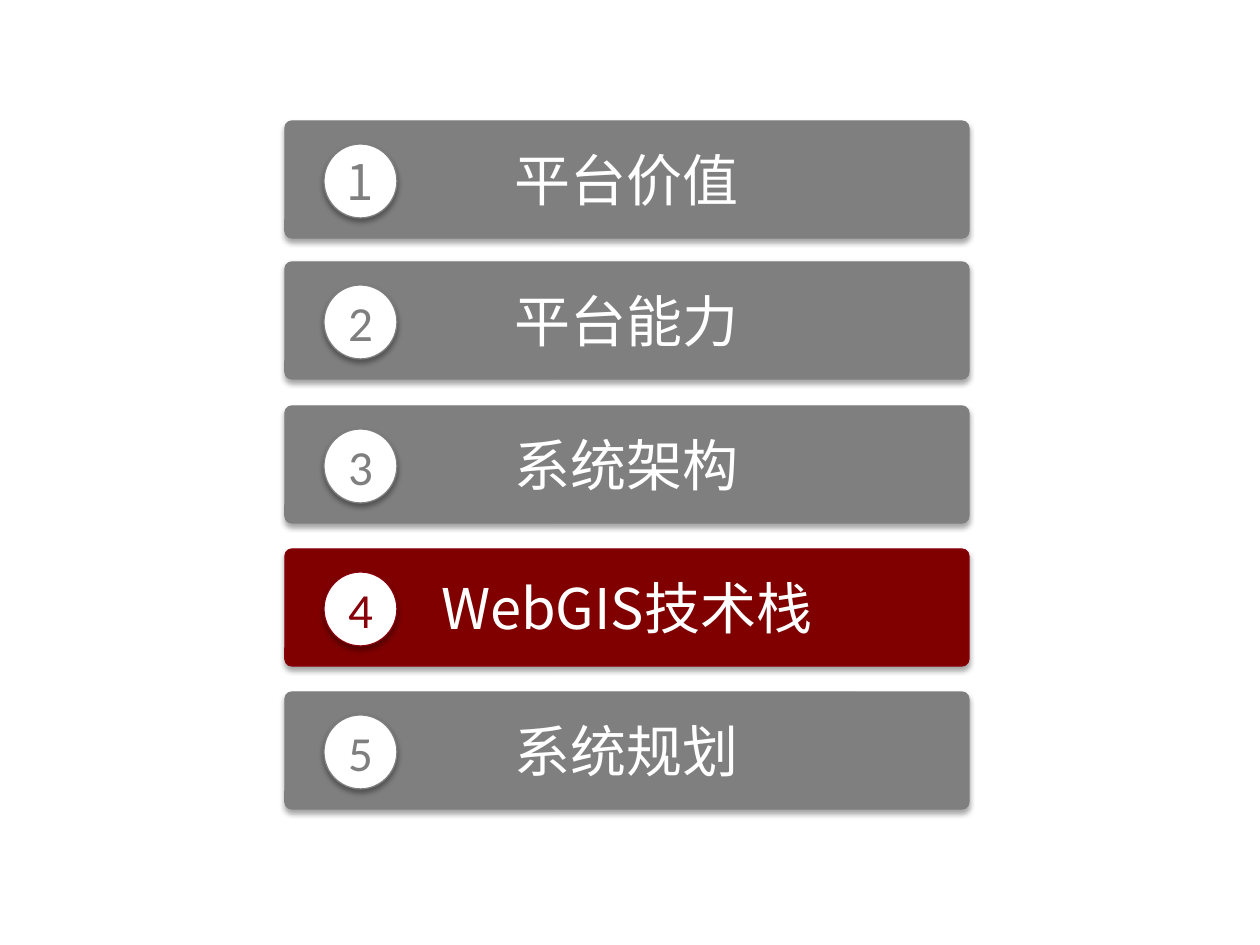
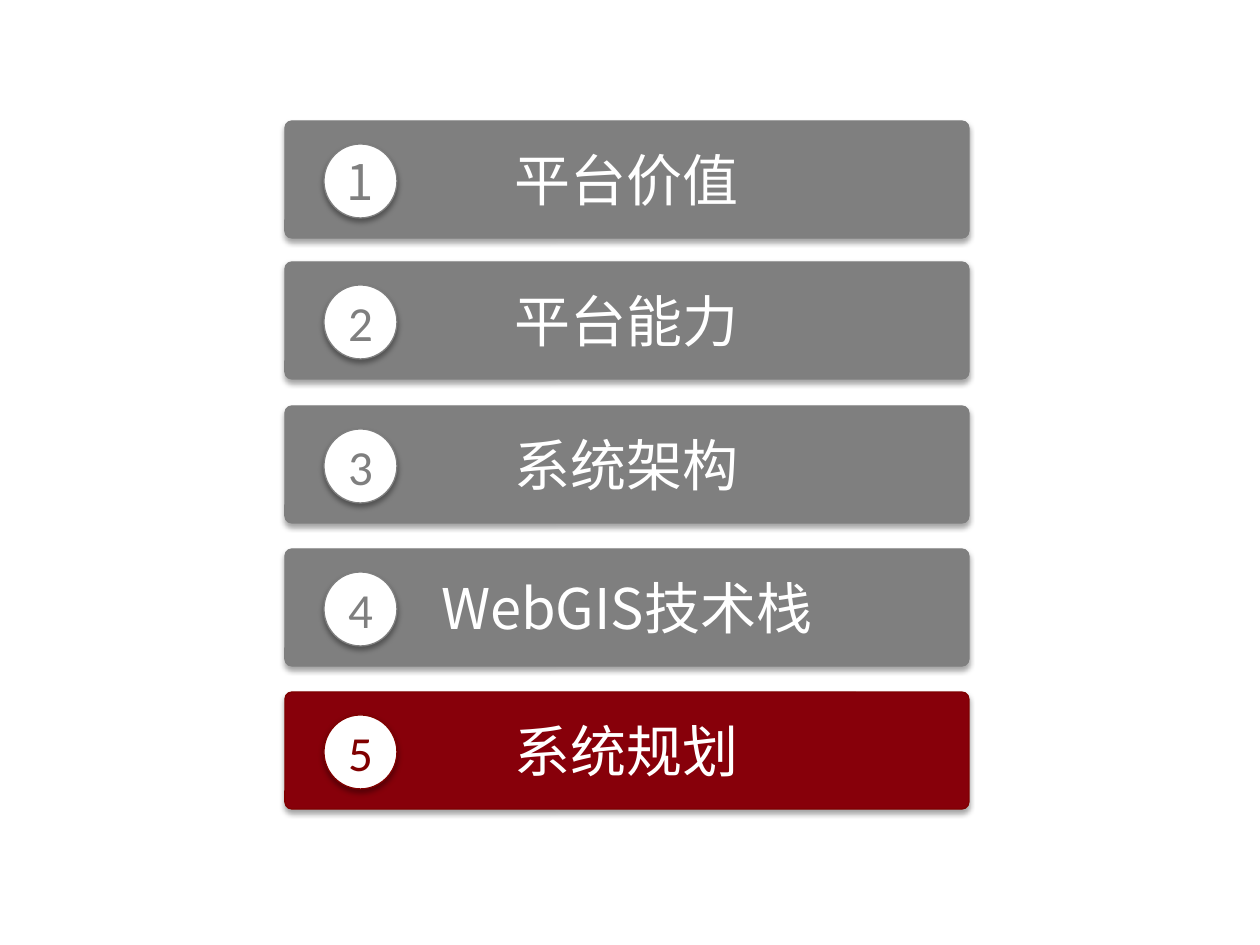
"""Build two agenda slides, each highlighting the current section."""
from lxml import etree
from pptx import Presentation
from pptx import util as u
from pptx.dml.color import RGBColor
from pptx.enum import shapes, text
from pptx.oxml import ns

PX = u.Inches(1) // 126
WHITE = RGBColor(0xFF, 0xFF, 0xFF)
GRAY = RGBColor(0x7F, 0x7F, 0x7F)
MAROON = RGBColor(0x80, 0x00, 0x00)
CRIMSON = RGBColor(0x87, 0x00, 0x0A)
CJK_FONT = "Noto Sans CJK SC"
LATIN_FONT = "Calibri"

SECTIONS = [
    ("平台价值", 121, CJK_FONT),
    ("平台能力", 262, LATIN_FONT),
    ("系统架构", 406, LATIN_FONT),
    ("WebGIS技术栈", 549, LATIN_FONT),
    ("系统规划", 692, LATIN_FONT),
]
AGENDAS = [
    {"current": 4, "fill": MAROON, "accent": CRIMSON},
    {"current": 5, "fill": CRIMSON, "accent": MAROON},
]

BAR_LEFT, BAR_WIDTH, BAR_HEIGHT = 285, 684, 117
BADGE_DX, BADGE_DY, BADGE_WIDTH, BADGE_HEIGHT = 39, 23, 73, 74


def add_shadow(shape):
    effects = etree.SubElement(shape._element.spPr, ns.qn("a:effectLst"))
    shadow = etree.SubElement(
        effects, ns.qn("a:outerShdw"), blurRad=str(u.Pt(3.1)),
        dist=str(u.Pt(1.8)), dir="5400000", rotWithShape="0")
    color = etree.SubElement(shadow, ns.qn("a:srgbClr"), val="000000")
    etree.SubElement(color, ns.qn("a:alpha"), val="35000")


def write_text(shape, words, *, size, font, color):
    frame = shape.text_frame
    frame.vertical_anchor = text.MSO_ANCHOR.MIDDLE
    frame.margin_left = frame.margin_right = 0
    paragraph = frame.paragraphs[0]
    paragraph.alignment = text.PP_ALIGN.CENTER
    run = paragraph.add_run()
    run.text = words
    run.font.size = u.Pt(size)
    run.font.name = font
    run.font.color.rgb = color
    etree.SubElement(run.font._element, ns.qn("a:ea"), typeface=CJK_FONT)


def add_panel(slide, kind, box, fill, line):
    shape = slide.shapes.add_shape(kind, *(length * PX for length in box))
    shape.fill.solid()
    shape.fill.fore_color.rgb = fill
    shape.line.color.rgb = line
    shape.line.width = u.Pt(0.75)
    add_shadow(shape)
    return shape


def add_section(slide, number, title, top, number_font, fill, accent):
    bar = add_panel(slide, shapes.MSO_SHAPE.ROUNDED_RECTANGLE,
                    (BAR_LEFT, top, BAR_WIDTH, BAR_HEIGHT), fill, accent)
    bar.adjustments[0] = 0.06
    write_text(bar, title, size=32, font=CJK_FONT, color=WHITE)
    badge = add_panel(slide, shapes.MSO_SHAPE.OVAL,
                      (BAR_LEFT + BADGE_DX, top + BADGE_DY, BADGE_WIDTH, BADGE_HEIGHT),
                      WHITE, accent)
    write_text(badge, str(number), size=28, font=number_font, color=accent)


def add_agenda(presentation, current, fill, accent):
    slide = presentation.slides.add_slide(presentation.slide_layouts[6])
    slide.background.fill.solid()
    slide.background.fill.fore_color.rgb = WHITE
    for number, section in enumerate(SECTIONS, start=1):
        colors = (fill, accent) if number == current else (GRAY, GRAY)
        add_section(slide, number, *section, *colors)


def main():
    presentation = Presentation()
    presentation.slide_width = u.Inches(10)
    presentation.slide_height = u.Inches(7.5)
    for agenda in AGENDAS:
        add_agenda(presentation, **agenda)
    presentation.save("out.pptx")


if __name__ == "__main__":
    main()
